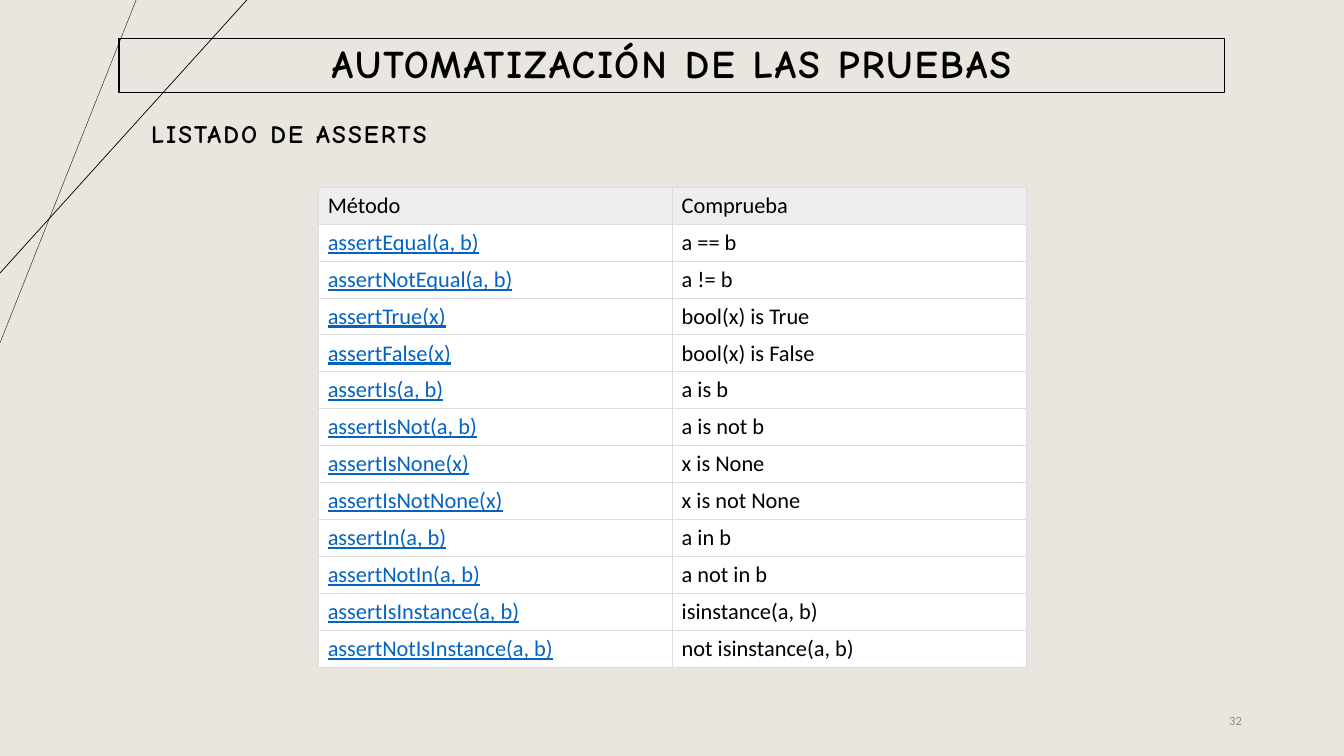
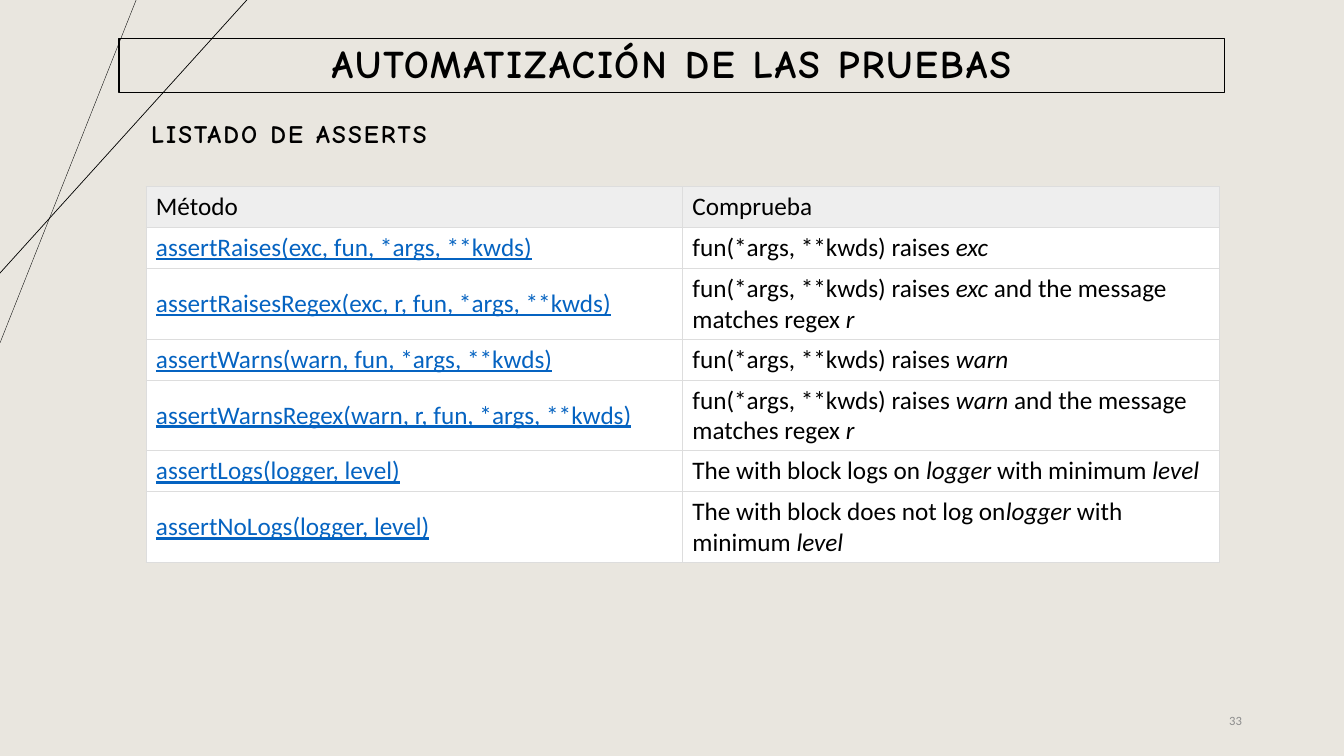
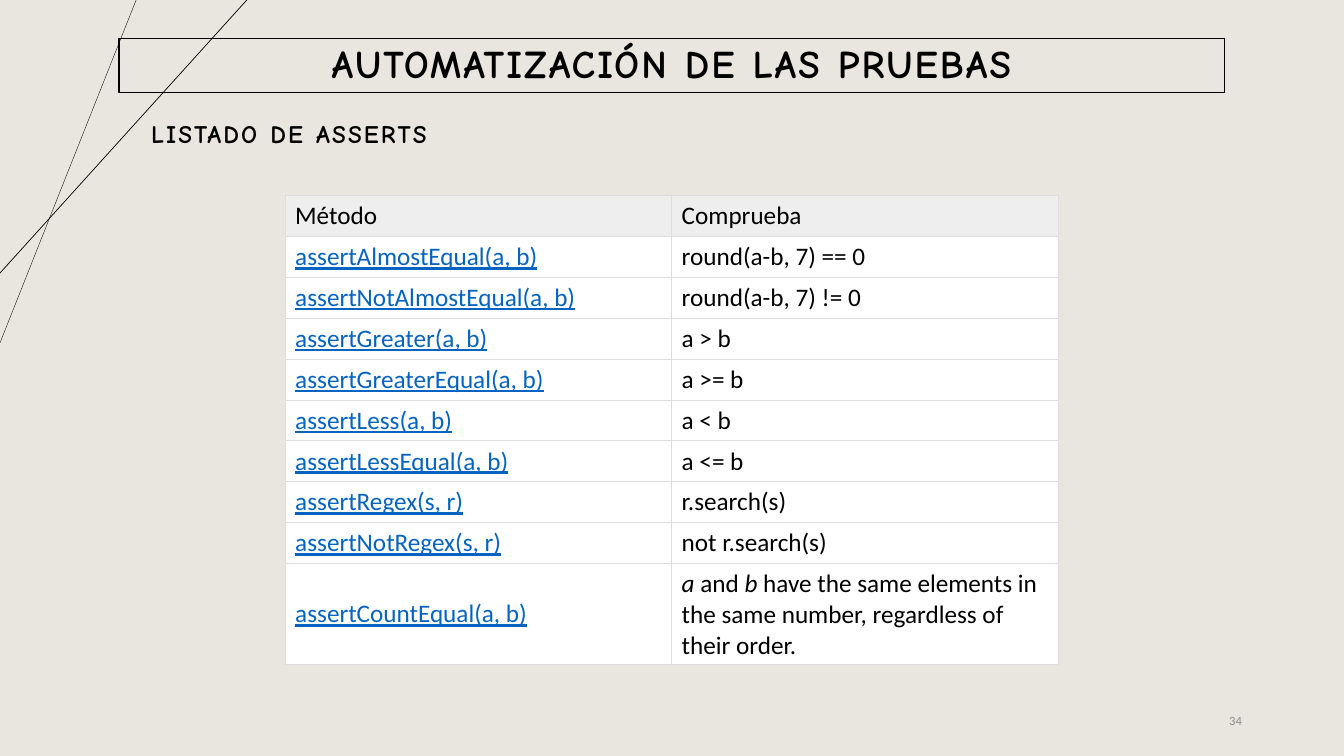
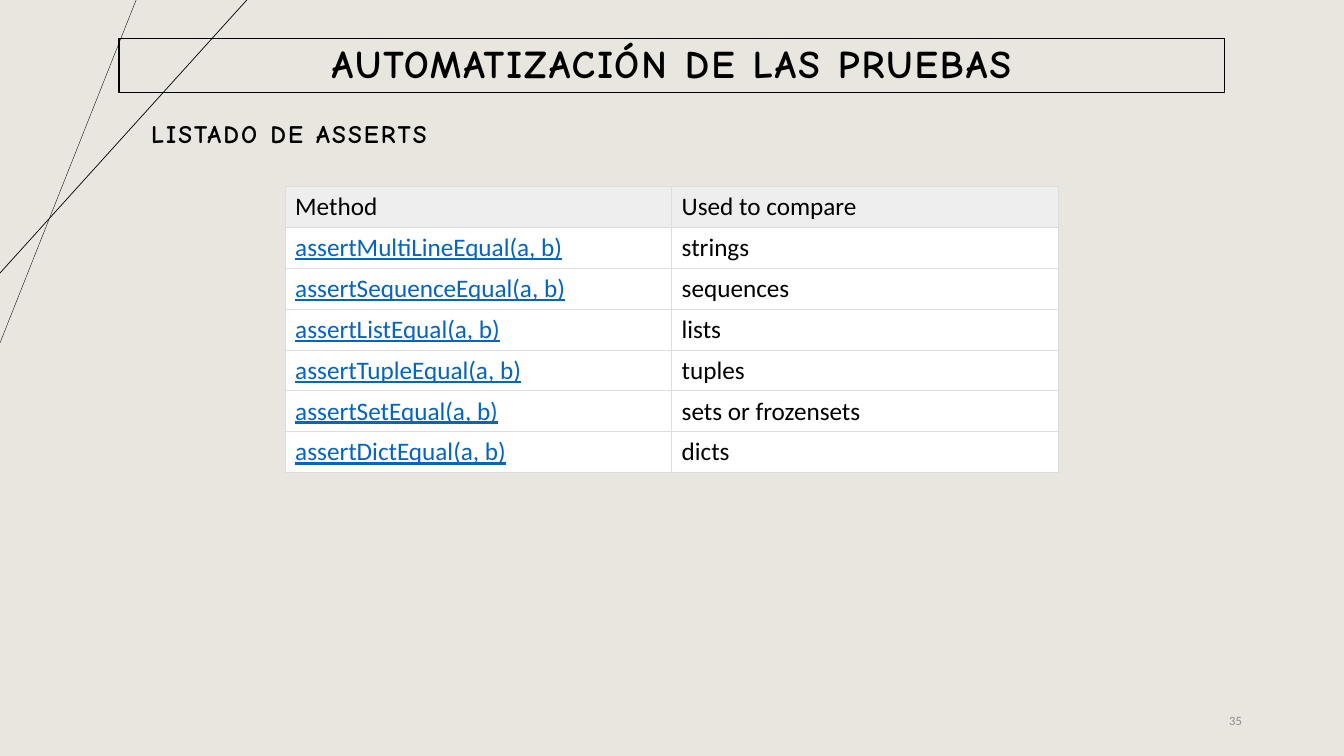
from lxml.etree import SubElement
from pptx import Presentation
from pptx.dml.color import RGBColor
from pptx.enum.shapes import MSO_CONNECTOR as Connector, MSO_SHAPE as Shape
from pptx.enum.text import MSO_ANCHOR as Anchor, PP_ALIGN as Align
from pptx.oxml.ns import qn
from pptx.util import Cm, Pt

# Content: a cell is a string, or a tuple of parts, upright and italic in turn
TITLE = "AUTOMATIZACIÓN DE LAS PRUEBAS"
SUBTITLE = "LISTADO DE ASSERTS"
FIRST_NUMBER = 32
RAISES = "fun(*args, **kwds) raises "
MATCHES = " and the message matches regex "

BASIC = [
    ("Método", "Comprueba"),
    ("assertEqual(a, b)", "a == b"),
    ("assertNotEqual(a, b)", "a != b"),
    ("assertTrue(x)", "bool(x) is True"),
    ("assertFalse(x)", "bool(x) is False"),
    ("assertIs(a, b)", "a is b"),
    ("assertIsNot(a, b)", "a is not b"),
    ("assertIsNone(x)", "x is None"),
    ("assertIsNotNone(x)", "x is not None"),
    ("assertIn(a, b)", "a in b"),
    ("assertNotIn(a, b)", "a not in b"),
    ("assertIsInstance(a, b)", "isinstance(a, b)"),
    ("assertNotIsInstance(a, b)", "not isinstance(a, b)"),
]
RAISING = [
    ("Método", "Comprueba"),
    ("assertRaises(exc, fun, *args, **kwds)", (RAISES, "exc")),
    ("assertRaisesRegex(exc, r, fun, *args, **kwds)", (RAISES, "exc", MATCHES, "r")),
    ("assertWarns(warn, fun, *args, **kwds)", (RAISES, "warn")),
    ("assertWarnsRegex(warn, r, fun, *args, **kwds)", (RAISES, "warn", MATCHES, "r")),
    ("assertLogs(logger, level)",
     ("The with block logs on ", "logger", " with minimum ", "level")),
    ("assertNoLogs(logger, level)",
     ("The with block does not log on", "logger", " with minimum ", "level")),
]
COMPARING = [
    ("Método", "Comprueba"),
    ("assertAlmostEqual(a, b)", "round(a-b, 7) == 0"),
    ("assertNotAlmostEqual(a, b)", "round(a-b, 7) != 0"),
    ("assertGreater(a, b)", "a > b"),
    ("assertGreaterEqual(a, b)", "a >= b"),
    ("assertLess(a, b)", "a < b"),
    ("assertLessEqual(a, b)", "a <= b"),
    ("assertRegex(s, r)", "r.search(s)"),
    ("assertNotRegex(s, r)", "not r.search(s)"),
    ("assertCountEqual(a, b)",
     ("", "a", " and ", "b",
      " have the same elements in the same number, regardless of their order.")),
]
TYPED = [
    ("Method", "Used to compare"),
    ("assertMultiLineEqual(a, b)", "strings"),
    ("assertSequenceEqual(a, b)", "sequences"),
    ("assertListEqual(a, b)", "lists"),
    ("assertTupleEqual(a, b)", "tuples"),
    ("assertSetEqual(a, b)", "sets or frozensets"),
    ("assertDictEqual(a, b)", "dicts"),
]

# Lengths in centimetres: left, top, column width, row height, text size, cell insets
WIDE_INSETS, TIGHT_INSETS = (0.25, 0.13), (0.23, 0.12)
SLIDES = [
    (BASIC, 8.03, 4.72, 8.92, 0.93, 16, TIGHT_INSETS),
    (RAISING, 3.68, 4.7, 13.52, 1.03, 18, WIDE_INSETS),
    (COMPARING, 7.19, 4.93, 9.74, 1.03, 18, WIDE_INSETS),
    (TYPED, 7.19, 4.7, 9.74, 1.03, 18, WIDE_INSETS),
]
CORNER_LINES = [(3.43, 8.64, 0.25), (6.22, 6.88, 0.5)]  # top x, left y, points
TITLE_AREA = (3, 0.97, 27.86, 1.37)
SUBTITLE_AREA = (3.56, 2.87, 27.31, 1.02)
NUMBER_AREA = (23.93, 17.65, 7.62, 1.02)

# Shared style
HEADING_FONT, BODY_FONT = "Comic Neue", "Calibri"
PAPER, INK, GREY, LINK = "E9E6DF", "000000", "8C8C8C", "0563C1"
HEADER_FILL, ROW_FILL, BORDER = "EEEEEE", "FFFFFF", "DDDDDD"


def paint(color, value):
    color.rgb = RGBColor.from_string(value)


def add_span(para, text, size, color=INK, font=BODY_FONT):
    span = para.add_run()
    span.text = text
    span.font.name = font
    span.font.size = Pt(size)
    paint(span.font.color, color)
    return span


def add_heading(box, text, size, anchor, align):
    box.text_frame.word_wrap = True
    box.text_frame.vertical_anchor = anchor
    para = box.text_frame.paragraphs[0]
    para.alignment = align
    para.line_spacing = 0.9
    span = add_span(para, text, size, font=HEADING_FONT)
    span.font.bold = True
    span.font._element.set("spc", "150")


def add_frame(slide, number):
    # Corner lines
    for x, y, weight in CORNER_LINES:
        line = slide.shapes.add_connector(Connector.STRAIGHT, Cm(x), 0, 0, Cm(y))
        paint(line.line.color, INK)
        line.line.width = Pt(weight)
        SubElement(line._element.spPr, qn("a:effectLst"))

    # Title and subtitle
    box = slide.shapes.add_shape(Shape.RECTANGLE, *map(Cm, TITLE_AREA))
    box.shadow.inherit = False
    box.fill.background()
    paint(box.line.color, INK)
    box.line.width = Pt(0.75)
    add_heading(box, TITLE, 28, Anchor.MIDDLE, Align.CENTER)
    box = slide.shapes.add_textbox(*map(Cm, SUBTITLE_AREA))
    add_heading(box, SUBTITLE, 18, Anchor.BOTTOM, Align.LEFT)

    # Slide number
    box = slide.shapes.add_textbox(*map(Cm, NUMBER_AREA))
    box.text_frame.word_wrap = True
    box.text_frame.vertical_anchor = Anchor.MIDDLE
    para = box.text_frame.paragraphs[0]
    para.alignment = Align.RIGHT
    add_span(para, str(number), 9, GREY)


def style_cell(cell, fill, insets):
    cell.vertical_anchor = Anchor.MIDDLE
    cell.margin_left = cell.margin_right = Cm(insets[0])
    cell.margin_top = cell.margin_bottom = Cm(insets[1])
    properties = cell._tc.get_or_add_tcPr()
    for side in ("lnL", "lnR", "lnT", "lnB"):  # borders come before the fill
        edge = SubElement(properties, qn(f"a:{side}"), w=str(Pt(0.75)))
        solid = SubElement(edge, qn("a:solidFill"))
        SubElement(solid, qn("a:srgbClr"), val=BORDER)
    cell.fill.solid()
    paint(cell.fill.fore_color, fill)


def add_assert_table(slide, rows, left, top, column, height, size, insets):
    count = len(rows[0])
    table = slide.shapes.add_table(
        len(rows), count, Cm(left), Cm(top),
        Cm(column * count), Cm(height * len(rows))).table
    table.first_row = table.horz_banding = False
    for r, row in enumerate(rows):
        table.rows[r].height = Cm(height)
        for c, content in enumerate(row):
            cell = table.cell(r, c)
            style_cell(cell, ROW_FILL if r else HEADER_FILL, insets)
            is_link = r > 0 and c == 0
            parts = (content,) if isinstance(content, str) else content
            for i, text in enumerate(parts):
                if text:
                    span = add_span(cell.text_frame.paragraphs[0], text, size,
                                    LINK if is_link else INK)
                    span.font.underline = is_link
                    span.font.italic = i % 2 == 1


def main():
    deck = Presentation()
    deck.slide_width, deck.slide_height = Cm(33.87), Cm(19.05)
    background = deck.slide_master.background.fill
    background.solid()
    paint(background.fore_color, PAPER)
    for number, layout in enumerate(SLIDES, FIRST_NUMBER):
        slide = deck.slides.add_slide(deck.slide_layouts[6])
        add_frame(slide, number)
        add_assert_table(slide, *layout)
    deck.save("out.pptx")


if __name__ == "__main__":
    main()
